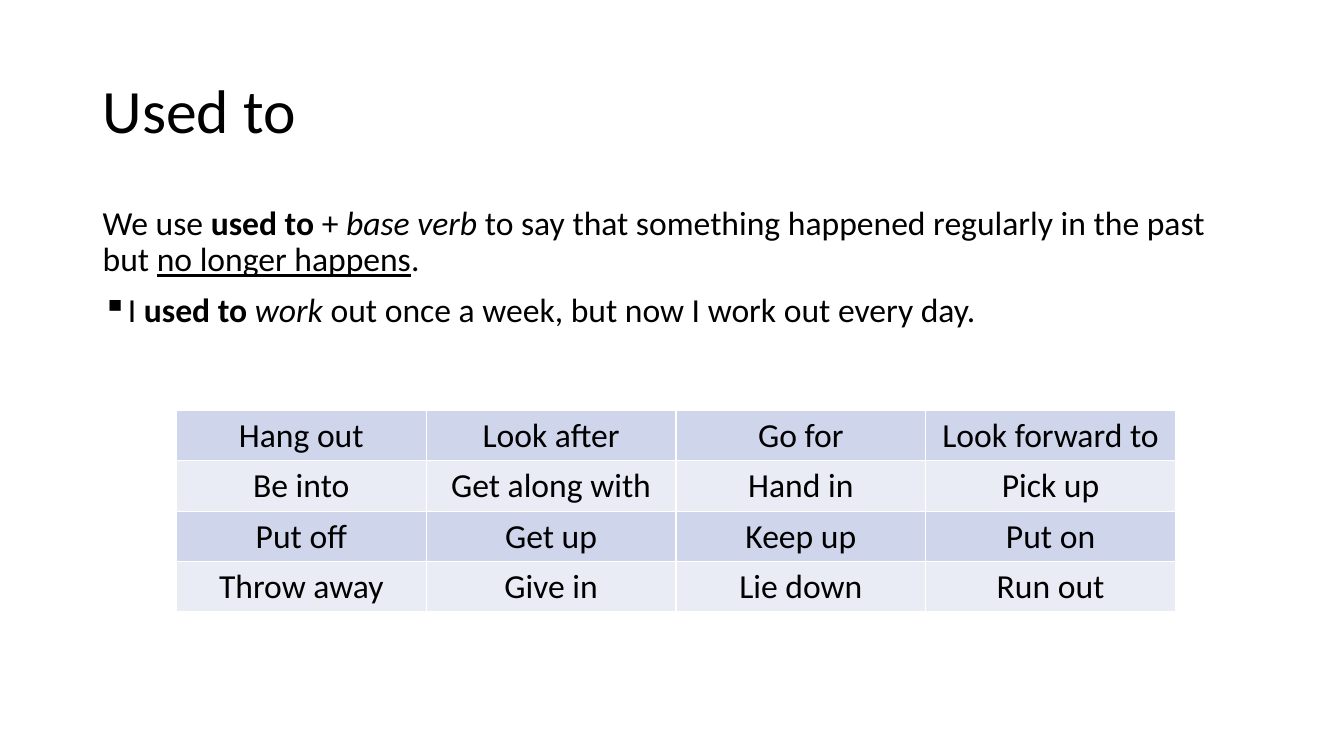
from dataclasses import dataclass

from lxml import etree
from pptx import Presentation
from pptx import util as u
from pptx.dml import color
from pptx.enum import text
from pptx.oxml import ns

FONT = "Calibri"
INK = "000000"
LINE = "FFFFFF"
BANDS = ("CFD5EA", "E9EBF5")
WORDS = (
    ("Hang out", "Look after", "Go for", "Look forward to"),
    ("Be into", "Get along with", "Hand in", "Pick up"),
    ("Put off", "Get up", "Keep up", "Put on"),
    ("Throw away", "Give in", "Lie down", "Run out"),
)


@dataclass
class Run:
    words: str
    bold: bool = False
    slant: bool = False
    under: bool = False


@dataclass
class Box:
    left: float
    top: float
    wide: float
    high: float

    def lengths(self) -> tuple:
        return tuple(u.Inches(n) for n in (self.left, self.top, self.wide, self.high))


RULE = (
    Run("We use "),
    Run("used to ", bold=True),
    Run("+ "),
    Run("base verb ", slant=True),
    Run("to say that something happened regularly in the past but "),
    Run("no longer happens", under=True),
    Run("."),
)
SAMPLE = (
    Run("I "),
    Run("used to ", bold=True),
    Run("work", slant=True),
    Run(" out once a week, but now I work out every day."),
)


def rgb(code: str) -> color.RGBColor:
    return color.RGBColor.from_string(code)


def write(para, runs, size: float = 24, align=None, line=None, before=None, mark: str = "") -> None:
    para.alignment = align
    para.line_spacing = line
    if before is not None:
        para.space_before = u.Pt(before)
    for item in runs:
        run = para.add_run()
        run.text = item.words
        font = run.font
        font.name, font.size = FONT, u.Pt(size)
        font.bold, font.italic, font.underline = item.bold, item.slant, item.under
        font.color.rgb = rgb(INK)
    if mark:
        props = para._p.get_or_add_pPr()
        props.set("marL", str(u.Inches(0.25)))
        props.set("indent", str(u.Inches(-0.25)))
        etree.SubElement(props, ns.qn("a:buChar"), char=mark)


def add_box(slide, box: Box, anchor):
    frame = slide.shapes.add_textbox(*box.lengths()).text_frame
    frame.word_wrap = True
    frame.vertical_anchor = anchor
    return frame


def edge(cell) -> None:
    props = cell._tc.get_or_add_tcPr()
    for side in ("lnL", "lnR", "lnT", "lnB"):
        line = etree.SubElement(props, ns.qn(f"a:{side}"), w=str(u.Pt(1)))
        fill = etree.SubElement(line, ns.qn("a:solidFill"))
        etree.SubElement(fill, ns.qn("a:srgbClr"), val=LINE)


def add_grid(slide, box: Box) -> None:
    table = slide.shapes.add_table(len(WORDS), len(WORDS[0]), *box.lengths()).table
    table.first_row = False
    for r, words in enumerate(WORDS):
        for c, word in enumerate(words):
            cell = table.cell(r, c)
            edge(cell)
            cell.fill.solid()
            cell.fill.fore_color.rgb = rgb(BANDS[r % 2])
            cell.vertical_anchor = text.MSO_ANCHOR.MIDDLE
            write(cell.text_frame.paragraphs[0], [Run(word)], align=text.PP_ALIGN.CENTER)


def main() -> None:
    deck = Presentation()
    deck.slide_width, deck.slide_height = u.Inches(13.33), u.Inches(7.5)
    slide = deck.slides.add_slide(deck.slide_layouts[6])
    title = add_box(slide, Box(0.92, 0.4, 11.5, 1.45), text.MSO_ANCHOR.MIDDLE)
    write(title.paragraphs[0], [Run("Used to")], size=44, line=0.9)
    body = add_box(slide, Box(0.92, 2, 11.5, 2.07), text.MSO_ANCHOR.TOP)
    write(body.paragraphs[0], RULE, line=0.9, before=10)
    write(body.add_paragraph(), SAMPLE, line=0.9, before=10, mark="▪")
    add_grid(slide, Box(1.75, 4.07, 9.91, 2))
    deck.save("out.pptx")


if __name__ == "__main__":
    main()
